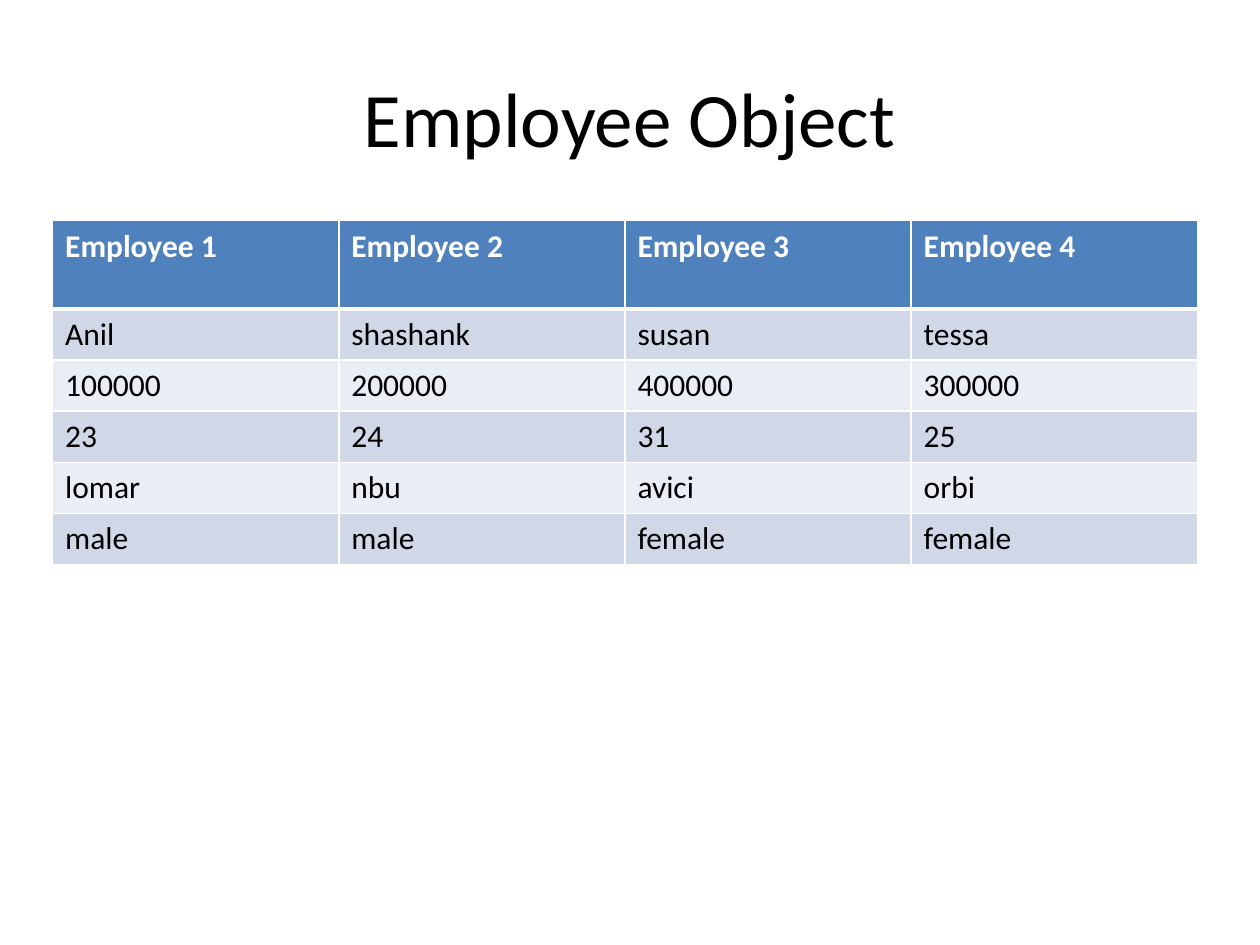
from dataclasses import dataclass

from lxml import etree
from pptx import Presentation
from pptx.dml.color import RGBColor
from pptx.enum.text import MSO_ANCHOR, PP_ALIGN
from pptx.oxml.ns import qn
from pptx.util import Cm, Pt

CENTER = PP_ALIGN.CENTER
MIDDLE = MSO_ANCHOR.MIDDLE

TITLE = "Employee Object"
EMPLOYEES = [
    ("Employee 1", "Employee 2", "Employee 3", "Employee 4"),
    ("Anil", "shashank", "susan", "tessa"),
    ("100000", "200000", "400000", "300000"),
    ("23", "24", "31", "25"),
    ("lomar", "nbu", "avici", "orbi"),
    ("male", "male", "female", "female"),
]


@dataclass(frozen=True)
class Theme:
    """Font, type sizes, colours and rule widths of the slide."""
    font: str = "Calibri"
    title_size: int = 44
    table_size: int = 18
    text: str = "000000"
    header_text: str = "FFFFFF"
    header_fill: str = "4F81BD"
    bands: tuple = ("D0D8E8", "E9EDF4")
    rule: str = "FFFFFF"
    thin: int = 1
    thick: int = 3


THEME = Theme()
TABLE_LEFT, TABLE_TOP = Cm(1.06), Cm(4.45)
COLUMN_WIDTH = Cm(5.77)
HEADER_HEIGHT, ROW_HEIGHT = Cm(1.78), Cm(1.03)


def add_run(paragraph, text, size, color, bold=False):
    """Add one styled run to a paragraph."""
    run = paragraph.add_run()
    run.text = text
    run.font.name = THEME.font
    run.font.size = Pt(size)
    run.font.bold = bold
    run.font.color.rgb = RGBColor.from_string(color)


def set_borders(cell, top, bottom):
    """Rule all four sides of a cell, with given top and bottom widths."""
    properties = cell._tc.get_or_add_tcPr()
    sides = {"a:lnL": THEME.thin, "a:lnR": THEME.thin, "a:lnT": top, "a:lnB": bottom}
    for position, (side, width) in enumerate(sides.items()):
        line = etree.Element(qn(side), w=str(Pt(width)))
        fill = etree.SubElement(line, qn("a:solidFill"))
        etree.SubElement(fill, qn("a:srgbClr"), val=THEME.rule)
        properties.insert(position, line)


def add_title(slide):
    """Add the centred slide title."""
    title = slide.shapes.add_textbox(Cm(1.27), Cm(0.76), Cm(22.86), Cm(3.18))
    frame = title.text_frame
    frame.word_wrap = True
    frame.vertical_anchor = MIDDLE
    frame.paragraphs[0].alignment = CENTER
    add_run(frame.paragraphs[0], TITLE, THEME.title_size, THEME.text)


def add_employee_table(slide):
    """Add the banded table with one column per employee."""
    row_count, column_count = len(EMPLOYEES), len(EMPLOYEES[0])
    table = slide.shapes.add_table(
        row_count, column_count, TABLE_LEFT, TABLE_TOP,
        COLUMN_WIDTH * column_count, HEADER_HEIGHT + ROW_HEIGHT * (row_count - 1),
    ).table
    for column in table.columns:
        column.width = COLUMN_WIDTH
    for row, values in enumerate(EMPLOYEES):
        header = row == 0
        table.rows[row].height = HEADER_HEIGHT if header else ROW_HEIGHT
        fill = THEME.header_fill if header else THEME.bands[(row - 1) % 2]
        color = THEME.header_text if header else THEME.text
        top = THEME.thick if row == 1 else THEME.thin
        bottom = THEME.thick if header else THEME.thin
        for column, value in enumerate(values):
            cell = table.cell(row, column)
            cell.fill.solid()
            cell.fill.fore_color.rgb = RGBColor.from_string(fill)
            set_borders(cell, top, bottom)
            add_run(cell.text_frame.paragraphs[0], value, THEME.table_size, color, header)


def main():
    """Build and save the slide."""
    deck = Presentation()
    deck.slide_width, deck.slide_height = Cm(25.4), Cm(19.05)
    slide = deck.slides.add_slide(deck.slide_layouts[6])
    add_title(slide)
    add_employee_table(slide)
    deck.save("out.pptx")


main()
